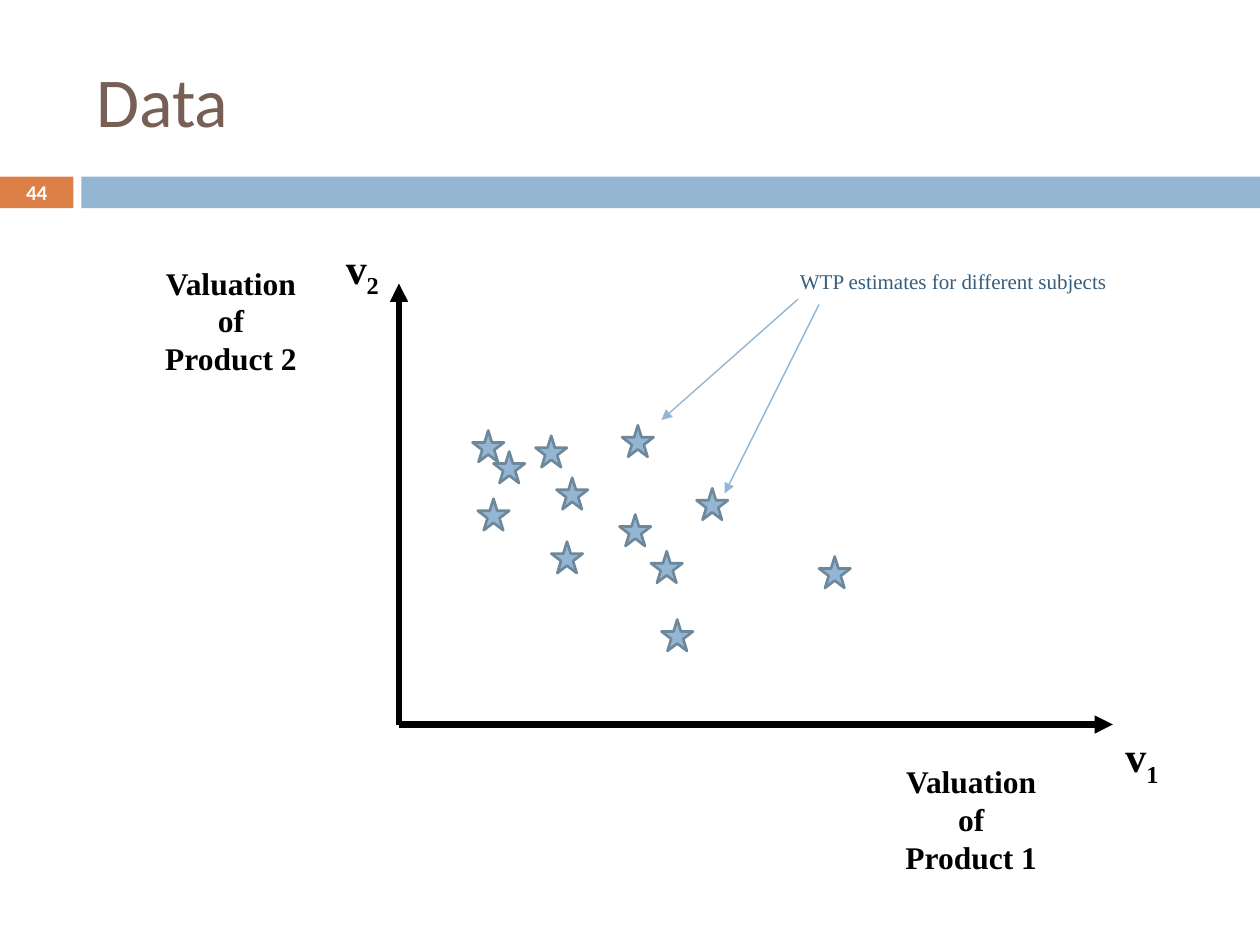
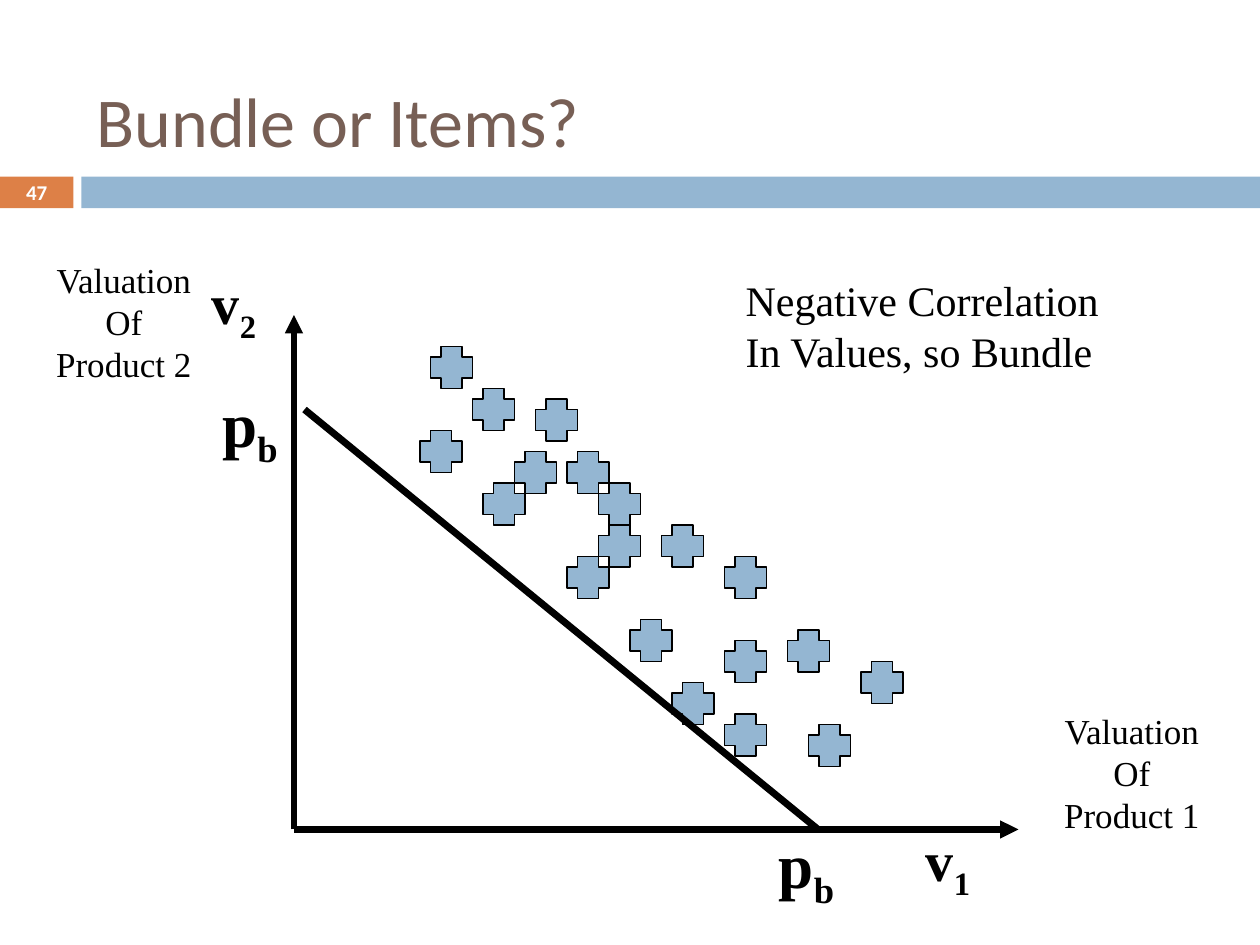
from dataclasses import dataclass

from lxml import etree
from pptx import Presentation
from pptx import util as u
from pptx.dml.color import RGBColor
from pptx.enum import shapes, text
from pptx.oxml import ns

Pt = u.Pt
LEFT, CENTER = text.PP_ALIGN.LEFT, text.PP_ALIGN.CENTER
TOP, MIDDLE, BOTTOM = (text.MSO_ANCHOR.TOP, text.MSO_ANCHOR.MIDDLE,
                       text.MSO_ANCHOR.BOTTOM)
STAR, CROSS = shapes.MSO_SHAPE.STAR_5_POINT, shapes.MSO_SHAPE.CROSS


@dataclass(frozen=True)
class Theme:
    heading_font: str = "Calibri"
    body_font: str = "Times New Roman"
    title: str = "775F55"
    accent: str = "DD8047"
    blue: str = "94B6D2"
    star_edge: str = "6D879B"
    note: str = "355D7E"
    black: str = "000000"
    white: str = "FFFFFF"
    title_size: float = 40
    number_size: float = 12
    note_size: float = 12
    axis_width: float = 3.5


THEME = Theme()


def rgb(value):
    return RGBColor.from_string(value)


def write(frame, lines, *, size, font=THEME.body_font, color=THEME.black,
          bold=False, align=LEFT, anchor=TOP, wrap=False):
    """Fill a text frame; a line is a string or a (base, subscript) pair."""
    frame.word_wrap = wrap
    frame.auto_size = text.MSO_AUTO_SIZE.NONE
    frame.vertical_anchor = anchor
    for index, line in enumerate(lines):
        paragraph = frame.add_paragraph() if index else frame.paragraphs[0]
        paragraph.alignment = align
        parts = (line,) if isinstance(line, str) else line
        for position, part in enumerate(parts):
            run = paragraph.add_run()
            run.text = part
            run.font.name, run.font.size = font, Pt(size)
            run.font.bold, run.font.color.rgb = bold, rgb(color)
            if position:
                run.font._element.set("baseline", "-25000")


class Deck:
    def __init__(self, theme):
        self.theme = theme
        self.presentation = Presentation()
        self.presentation.slide_width = Pt(720)
        self.presentation.slide_height = Pt(540)
        self.slide = None

    def new_slide(self, title, number, anchor):
        """Add a slide with its title, bands and slide number."""
        theme = self.theme
        layout = self.presentation.slide_layouts[5]
        self.slide = self.presentation.slides.add_slide(layout)
        self.shape(shapes.MSO_SHAPE.RECTANGLE, 0, 101, 42, 18, theme.accent)
        self.shape(shapes.MSO_SHAPE.RECTANGLE, 46.5, 101, 673.5, 18, theme.blue)
        placeholder = self.slide.shapes.title
        placeholder.left, placeholder.top = Pt(48), Pt(18)
        placeholder.width, placeholder.height = Pt(642), Pt(78)
        write(placeholder.text_frame, [title], size=theme.title_size,
              font=theme.heading_font, color=theme.title, anchor=anchor,
              wrap=True)
        self.label([str(number)], 0, 100, 42, 20, size=theme.number_size,
                   font=theme.heading_font, color=theme.white, bold=True,
                   align=CENTER, anchor=MIDDLE, wrap=True)

    def shape(self, kind, left, top, width, height, fill, edge=None,
              edge_width=1):
        shape = self.slide.shapes.add_shape(
            kind, Pt(left), Pt(top), Pt(width), Pt(height))
        shape.shadow.inherit = False
        shape.fill.solid()
        shape.fill.fore_color.rgb = rgb(fill)
        if edge:
            shape.line.color.rgb = rgb(edge)
            shape.line.width = Pt(edge_width)
        else:
            shape.line.fill.background()
        return shape

    def label(self, lines, left, top, width, height, **style):
        box = self.slide.shapes.add_textbox(
            Pt(left), Pt(top), Pt(width), Pt(height))
        write(box.text_frame, lines, **style)

    def line(self, start, end, color, width, arrow=True):
        connector = self.slide.shapes.add_connector(
            shapes.MSO_CONNECTOR.STRAIGHT, *map(Pt, start + end))
        connector.line.color.rgb = rgb(color)
        connector.line.width = Pt(width)
        properties = connector._element.spPr
        if arrow:
            etree.SubElement(properties.find(ns.qn("a:ln")),
                             ns.qn("a:tailEnd"), type="triangle")
        etree.SubElement(properties, ns.qn("a:effectLst"))

    def axes(self, origin, top, right):
        left, bottom = origin
        for end in ((left, top), (right, bottom)):
            self.line(origin, end, self.theme.black, self.theme.axis_width)

    def markers(self, kind, size, places, edge, edge_width):
        for left, top in places:
            self.shape(kind, left, top, size, size, self.theme.blue, edge,
                       edge_width)


def data_slide(deck):
    theme = deck.theme
    deck.new_slide("Data", 44, MIDDLE)
    caption = dict(size=18, bold=True, align=CENTER, anchor=MIDDLE)
    deck.label(["Valuation", "of", "Product 2"], 72, 132, 120, 102, **caption)
    deck.label(["Valuation", "of", "Product 1"], 462, 432, 186, 72, **caption)
    deck.axes((228, 414), 162, 636)
    deck.label([("v", "2")], 190.5, 135, 35, 36, size=24, bold=True)
    deck.label([("v", "1")], 636, 414, 35, 36, size=24, bold=True)
    subjects = [(270, 246), (306, 249), (273, 285), (318, 273), (354, 294),
                (315, 309.5), (355.5, 243), (468, 318), (398, 279),
                (378, 354), (282, 258), (372, 315)]
    deck.markers(STAR, 18, subjects, theme.star_edge, 1.5)
    for start, end in (((456, 171), (378, 240)), ((468, 174), (414, 282))):
        deck.line(start, end, theme.blue, 0.8)
    deck.label(["WTP estimates for different subjects"], 450, 150, 192, 22,
               size=theme.note_size, color=theme.note)


def bundle_slide(deck):
    theme = deck.theme
    deck.new_slide("Bundle or Items?", 47, BOTTOM)
    buyers = [(246, 198), (240, 246), (270, 222), (306, 228), (276, 276),
              (294, 258), (324, 258), (324, 318), (342, 276), (342, 300),
              (378, 300), (360, 354), (414, 318), (384, 390), (414, 366),
              (414, 408), (450, 360), (492, 378), (462, 414)]
    deck.markers(CROSS, 24, buyers, theme.black, 1)
    deck.line((174, 234), (467.5, 474), theme.black, 4, arrow=False)
    deck.label(["Negative Correlation", "In Values, so Bundle"],
               419, 153.5, 218, 65.5, size=24)
    deck.axes((168, 474), 180, 582)
    for left, top in ((120, 216), (438, 468)):
        deck.label([("p", "b")], left, top, 47.5, 50.5, size=36, bold=True)
    deck.label([("v", "2")], 114, 150, 42, 46, size=32, bold=True)
    deck.label([("v", "1")], 522, 468, 58, 46, size=32, bold=True, wrap=True)
    for product, left, top in (("Product 2", 24, 144), ("Product 1", 600, 402)):
        deck.label(["Valuation", "Of", product], left, top, 93.5, 79,
                   size=20, align=CENTER)


def main():
    deck = Deck(THEME)
    data_slide(deck)
    bundle_slide(deck)
    deck.presentation.save("out.pptx")


if __name__ == "__main__":
    main()
